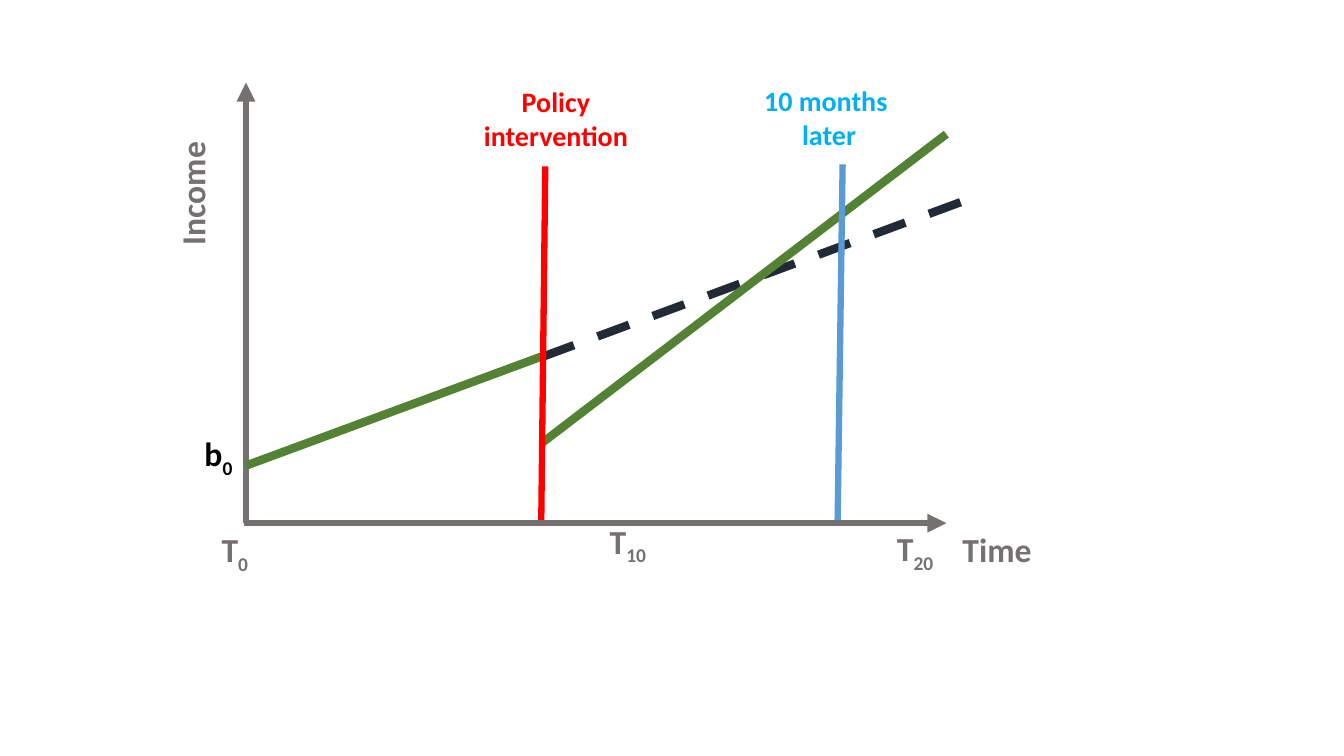
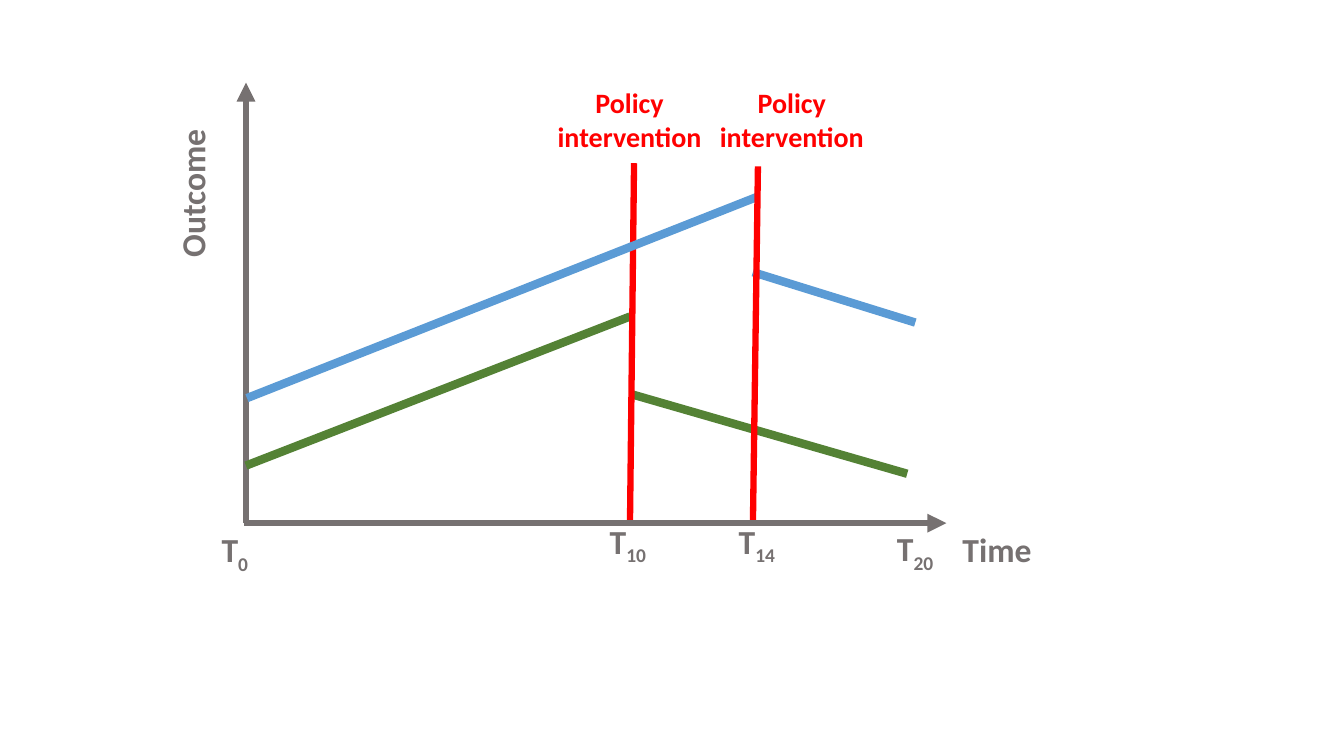
from lxml import etree
from pptx import Presentation
from pptx.dml.color import RGBColor
from pptx.enum.dml import MSO_LINE
from pptx.enum.shapes import MSO_CONNECTOR
from pptx.enum.text import MSO_AUTO_SIZE, PP_ALIGN
from pptx.oxml.ns import qn
from pptx.util import Pt

COLORS = {
    "axis": "767171", "green": "548235", "blue": "5B9BD5", "red": "FF0000",
    "sky": "00B0F0", "navy": "222A35", "black": "000000",
}
FONT = "Calibri"
AXIS_WIDTH, TREND_WIDTH = 4.5, 6
LABEL_SIZE, NOTE_SIZE = 24, 20
LABEL_WIDTH, LABEL_HEIGHT = 89.3, 36
NOTE_WIDTH, NOTE_HEIGHT = 153.4, 55.4
ORIGIN_X, ORIGIN_Y = 175.7, 373.7
AXIS_TOP, AXIS_RIGHT = 59, 676


def add_line(slide, color, start, end, width, dashed=False, arrow=False):
    """Draw a straight line, optionally dashed or with an arrowhead at its end."""
    points = [Pt(value) for value in (*start, *end)]
    connector = slide.shapes.add_connector(MSO_CONNECTOR.STRAIGHT, *points)
    connector.line.color.rgb = RGBColor.from_string(COLORS[color])
    connector.line.width = Pt(width)
    if dashed:
        connector.line.dash_style = MSO_LINE.DASH
    if arrow:
        line_xml = connector.line._get_or_add_ln()
        etree.SubElement(line_xml, qn("a:tailEnd"), type="triangle")
    etree.SubElement(connector._element.spPr, qn("a:effectLst"))


def add_label(slide, text, box, color="axis", size=LABEL_SIZE, subscript="",
              centered=False, rotation=0):
    """Add a bold text box, optionally with a subscript after the text."""
    shape = slide.shapes.add_textbox(*(Pt(value) for value in box))
    shape.rotation = rotation
    text_frame = shape.text_frame
    text_frame.word_wrap = True
    text_frame.auto_size = MSO_AUTO_SIZE.SHAPE_TO_FIT_TEXT
    text_frame.text = text
    paragraph = text_frame.paragraphs[0]
    paragraph.alignment = PP_ALIGN.CENTER if centered else PP_ALIGN.LEFT
    if subscript:
        run = paragraph.add_run()
        run.text = subscript
        run._r.get_or_add_rPr().set("baseline", "-25000")
    for run in paragraph.runs:
        run.font.name = FONT
        run.font.size = Pt(size)
        run.font.bold = True
        run.font.color.rgb = RGBColor.from_string(COLORS[color])


# Lines are listed from back to front: colour, start, end, width, dashed
CHARTS = [
    {
        "outcome": "Income",
        "lines": [
            ("green", (ORIGIN_X, 332.6), (388.1, 254.2), TREND_WIDTH, False),
            ("navy", (387.4, 254.9), (697, 140.4), TREND_WIDTH, True),
            ("green", (386.6, 316.8), (676, 95.8), TREND_WIDTH, False),
            ("red", (389.5, 118.8), (386.6, 374.4), AXIS_WIDTH, False),
            ("blue", (601.9, 117.4), (598.3, 373.7), AXIS_WIDTH, False),
        ],
        "notes": [
            ("Policy intervention", "red", 320.4, 56.9),
            ("10 months \vlater", "sky", 515.5, 56.2),
        ],
        "ticks": [],
        "intercept": True,
    },
    {
        "outcome": "Outcome",
        "lines": [
            ("green", (ORIGIN_X, 332.6), (450, 226.1), TREND_WIDTH, False),
            ("green", (450.7, 281.5), (648, 338.4), TREND_WIDTH, False),
            ("red", (452.9, 116.6), (450, 373), AXIS_WIDTH, False),
            ("blue", (176.4, 284.4), (541.4, 140.4), TREND_WIDTH, False),
            ("blue", (537.8, 194.4), (653.8, 230.4), TREND_WIDTH, False),
            ("red", (541.4, 118.8), (537.8, 375.1), AXIS_WIDTH, False),
        ],
        "notes": [
            ("Policy intervention", "red", 373, 57.6),
            ("Policy intervention", "red", 488.9, 57.6),
        ],
        "ticks": [("14", 520.6, 368.6)],
        "intercept": False,
    },
]
SHARED_TICKS = [("0", 151.2, 374.4), ("10", 428.4, 368.6), ("20", 633.6, 373.7)]

presentation = Presentation()
presentation.slide_width, presentation.slide_height = Pt(960), Pt(540)

for chart in CHARTS:
    slide = presentation.slides.add_slide(presentation.slide_layouts[6])

    add_line(slide, "axis", (ORIGIN_X, ORIGIN_Y), (ORIGIN_X, AXIS_TOP),
             AXIS_WIDTH, arrow=True)
    for color, start, end, width, dashed in chart["lines"]:
        add_line(slide, color, start, end, width, dashed)
    add_line(slide, "axis", (174.2, ORIGIN_Y), (AXIS_RIGHT, ORIGIN_Y),
             AXIS_WIDTH, arrow=True)

    add_label(slide, "Time", (680.4, 374.4, LABEL_WIDTH, LABEL_HEIGHT))
    add_label(slide, chart["outcome"], (45.4, 120.2, 183.6, LABEL_HEIGHT),
              centered=True, rotation=270)
    for period, left, top in SHARED_TICKS + chart["ticks"]:
        add_label(slide, "T", (left, top, LABEL_WIDTH, LABEL_HEIGHT),
                  subscript=period)
    if chart["intercept"]:
        add_label(slide, "b", (139, 306, 98.6, LABEL_HEIGHT), "black",
                  subscript="0")
    for text, color, left, top in chart["notes"]:
        add_label(slide, text, (left, top, NOTE_WIDTH, NOTE_HEIGHT), color,
                  NOTE_SIZE, centered=True)

presentation.save("out.pptx")
